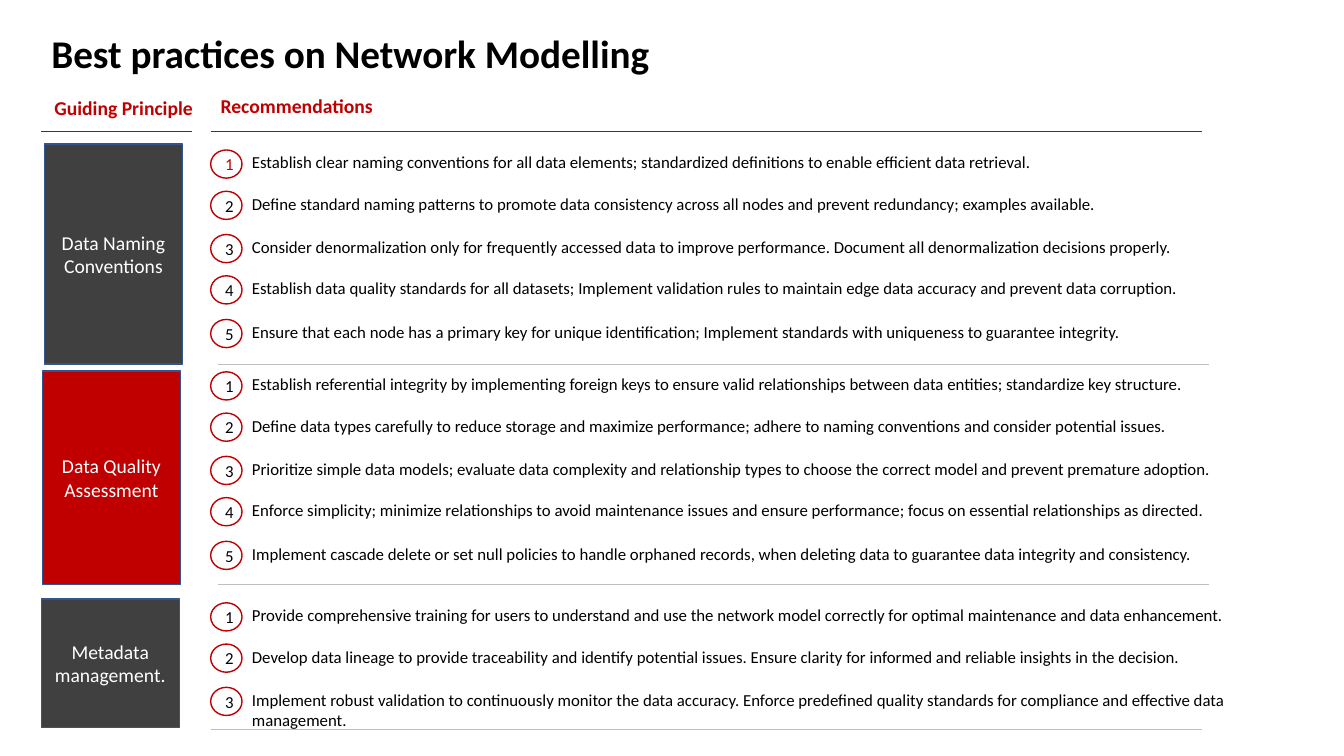
import pptx
import pptx.util
import pptx.dml.color
import pptx.enum.shapes
import pptx.enum.text
import pptx.oxml.ns
from pptx.util import Cm
from lxml import etree

ALIGN = pptx.enum.text.PP_ALIGN
ANCHOR = pptx.enum.text.MSO_ANCHOR
PRESET = pptx.enum.shapes.MSO_SHAPE

RED, GREY, BLACK, WHITE = "C00000", "404040", "000000", "FFFFFF"
BOX_EDGE, RULE_GREY = "325491", "BFBFBF"

# Lengths in centimetres
BADGE_LEFT, BADGE_WIDTH, BADGE_HEIGHT = 5.31, 0.79, 0.71
ADVICE_LEFT, ADVICE_WIDTH, ADVICE_RISE = 6.1, 26.67, 0.07
ROW_OFFSETS = (0, 1.04, 2.13, 3.17, 4.27)
RULE_LENGTH = 24.98

# Principle, box colour, box (left, top, width, height), first row top,
# closing rule (left, top), recommendations
SECTIONS = [
    ("Data Naming Conventions", GREY, (1.12, 3.63, 3.48, 5.54), 3.78, (5.49, 9.17), [
        "Establish clear naming conventions for all data elements; standardized definitions to enable efficient data retrieval.",
        "Define standard naming patterns to promote data consistency across all nodes and prevent redundancy; examples available.",
        "Consider denormalization only for frequently accessed data to improve performance. Document all denormalization decisions properly.",
        "Establish data quality standards for all datasets; Implement validation rules to maintain edge data accuracy and prevent data corruption.",
        "Ensure that each node has a primary key for unique identification; Implement standards with uniqueness to guarantee integrity.",
    ]),
    ("Data Quality Assessment", RED, (1.07, 9.35, 3.48, 5.38), 9.37, (5.49, 14.73), [
        "Establish referential integrity by implementing foreign keys to ensure valid relationships between data entities; standardize key structure.",
        "Define data types carefully to reduce storage and maximize performance; adhere to naming conventions and consider potential issues.",
        "Prioritize simple data models; evaluate data complexity and relationship types to choose the correct model and prevent premature adoption.",
        "Enforce simplicity; minimize relationships to avoid maintenance issues and ensure performance; focus on essential relationships as directed.",
        "Implement cascade delete or set null policies to handle orphaned records, when deleting data to guarantee data integrity and consistency.",
    ]),
    ("Metadata management.", GREY, (1.04, 15.09, 3.48, 3.25), 15.19, (5.31, 18.39), [
        "Provide comprehensive training for users to understand and use the network model correctly for optimal maintenance and data enhancement.",
        "Develop data lineage to provide traceability and identify potential issues. Ensure clarity for informed and reliable insights in the decision.",
        "Implement robust validation to continuously monitor the data accuracy. Enforce predefined quality standards for compliance and effective data management.",
    ]),
]


def rgb(hex_colour):
    return pptx.dml.color.RGBColor.from_string(hex_colour)


def write(shape, text, size=12, colour=BLACK, bold=False, align=ALIGN.LEFT,
          anchor=ANCHOR.TOP, grow=False):
    frame = shape.text_frame
    frame.word_wrap = True
    frame.vertical_anchor = anchor
    if grow:
        frame.auto_size = pptx.enum.text.MSO_AUTO_SIZE.SHAPE_TO_FIT_TEXT
    paragraph = frame.paragraphs[0]
    paragraph.alignment = align
    run = paragraph.add_run()
    run.text = text
    run.font.name = "Calibri"
    run.font.size = pptx.util.Pt(size)
    run.font.bold = bold
    run.font.color.rgb = rgb(colour)


def add_label(slide, text, left, top, width, height, **text_format):
    label = slide.shapes.add_textbox(Cm(left), Cm(top), Cm(width), Cm(height))
    write(label, text, grow=True, **text_format)


def add_block(slide, preset, text, left, top, width, height, fill, edge, **text_format):
    block = slide.shapes.add_shape(preset, Cm(left), Cm(top), Cm(width), Cm(height))
    block.shadow.inherit = False
    block.fill.solid()
    block.fill.fore_color.rgb = rgb(fill)
    block.line.color.rgb = rgb(edge)
    block.line.width = pptx.util.Pt(1)
    write(block, text, align=ALIGN.CENTER, anchor=ANCHOR.MIDDLE, **text_format)


def add_rule(slide, left, top, length, colour):
    rule = slide.shapes.add_connector(
        pptx.enum.shapes.MSO_CONNECTOR.STRAIGHT,
        Cm(left), Cm(top), Cm(left + length), Cm(top))
    rule.line.color.rgb = rgb(colour)
    rule.line.width = pptx.util.Pt(0.5)
    etree.SubElement(rule._element.spPr, pptx.oxml.ns.qn("a:effectLst"))


def add_title(slide, text):
    title = slide.shapes.title
    title.left, title.top, title.width, title.height = Cm(1.04), Cm(0.61), Cm(31.37), Cm(1.45)
    write(title, text, size=28, bold=True, grow=True)


def add_section(slide, principle, colour, box, first_row, closing_rule, recommendations):
    add_block(slide, PRESET.RECTANGLE, principle, *box, fill=colour, edge=BOX_EDGE,
              size=14, colour=WHITE)
    for number, (offset, advice) in enumerate(zip(ROW_OFFSETS, recommendations), 1):
        top = first_row + offset
        # The very first number on the slide is red
        first_on_slide = number == 1 and principle == SECTIONS[0][0]
        add_block(slide, PRESET.OVAL, str(number), BADGE_LEFT, top, BADGE_WIDTH, BADGE_HEIGHT,
                  fill=WHITE, edge=RED, colour=RED if first_on_slide else BLACK)
        add_label(slide, advice, ADVICE_LEFT, top - ADVICE_RISE, ADVICE_WIDTH, 0.77)
    add_rule(slide, *closing_rule, RULE_LENGTH, RULE_GREY)


def main():
    deck = pptx.Presentation()
    deck.slide_width, deck.slide_height = Cm(33.87), Cm(19.05)
    slide = deck.slides.add_slide(deck.slide_layouts[5])

    # Title and column headings
    add_title(slide, "Best practices on Network Modelling")
    add_label(slide, "Guiding Principle", 1.12, 2.29, 4.22, 0.86, size=14, colour=RED, bold=True)
    add_label(slide, "Recommendations", 5.31, 2.24, 25.3, 0.86, size=14, colour=RED, bold=True)
    add_rule(slide, 1.04, 3.31, 3.79, RED)
    add_rule(slide, 5.31, 3.32, RULE_LENGTH, RED)

    # Principles with their recommendations
    for section in SECTIONS:
        add_section(slide, *section)

    deck.save("out.pptx")


if __name__ == "__main__":
    main()
